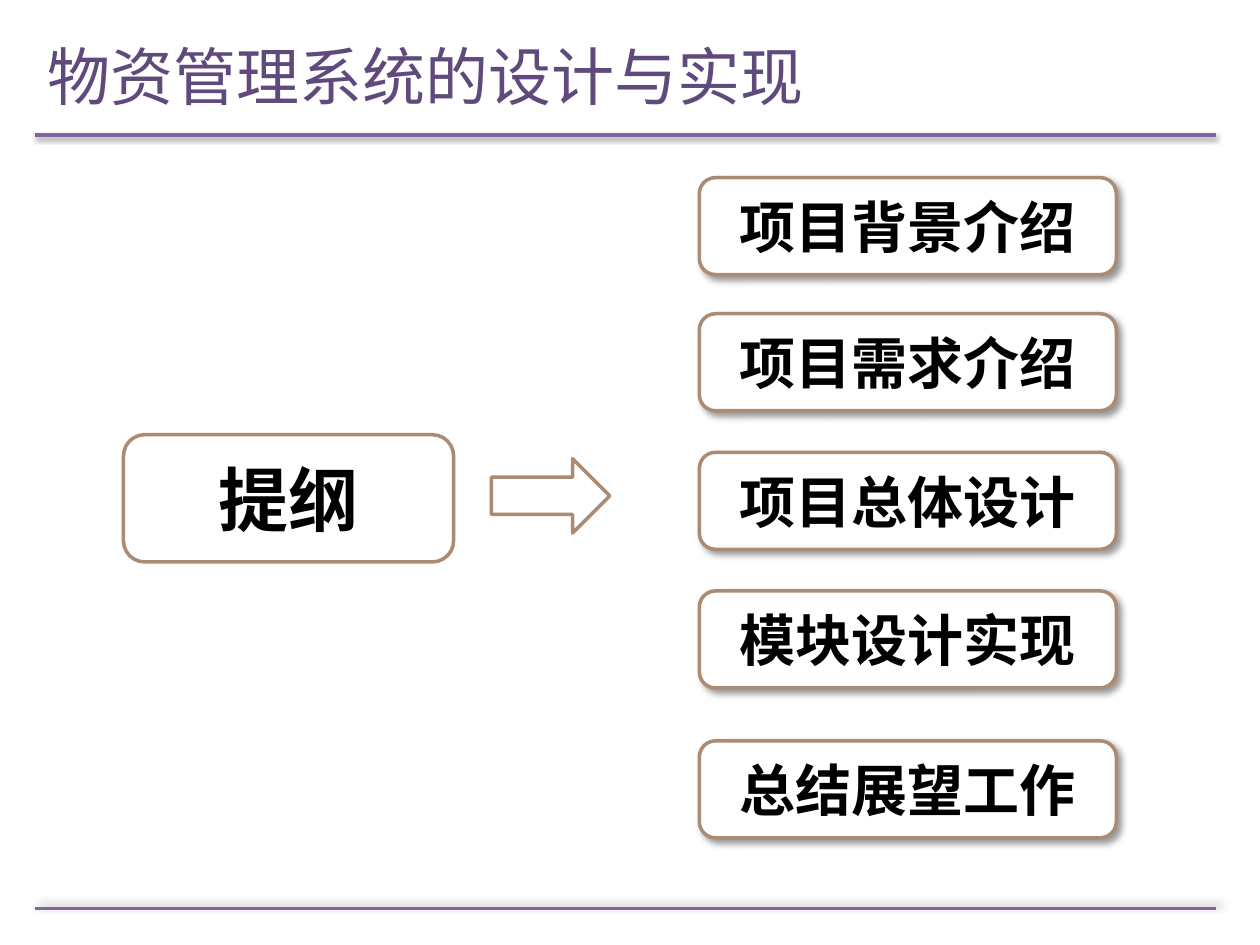
from pptx import Presentation
from pptx import util as u
from pptx.dml.color import RGBColor
from pptx.enum import shapes, text
from pptx.oxml import parse_xml
from pptx.oxml.ns import nsdecls, qn

COLORS = {"title": "604A7B", "rule": "8064A2", "border": "AB8B72",
          "box": "FFFFFF", "ink": "000000"}
LATIN, EAST_ASIAN = "Arial", "Noto Sans CJK SC"
COLUMNS, ROWS = 100, 75

TITLE = "物资管理系统的设计与实现"
TOPICS = [("项目背景介绍", 14.1), ("项目需求介绍", 24.9), ("项目总体设计", 35.9),
          ("模块设计实现", 46.9), ("总结展望工作", 58.8)]


def rgb(name):
    return RGBColor.from_string(COLORS[name])


class OutlineSlide:
    """Draws on one slide; lengths are columns and rows of a 100 by 75 grid."""

    def __init__(self, deck):
        self.slide = deck.slides.add_slide(deck.slide_layouts[6])
        self.column = deck.slide_width / COLUMNS
        self.row = deck.slide_height / ROWS

    def place(self, left, top, width, height):
        return [int(left * self.column), int(top * self.row),
                int(width * self.column), int(height * self.row)]

    def effects(self, part, shadow=None):
        """Replace the theme shadow by (opacity %, blur pt, distance pt, angle), or by none."""
        effect_list = parse_xml(f"<a:effectLst {nsdecls('a')}/>")
        if shadow:
            opacity, blur, distance, angle = shadow
            effect_list.append(parse_xml(
                f'<a:outerShdw {nsdecls("a")} blurRad="{u.Pt(blur)}" dist="{u.Pt(distance)}" '
                f'dir="{angle * 60000}" rotWithShape="0"><a:srgbClr val="{COLORS["ink"]}">'
                f'<a:alpha val="{opacity * 1000}"/></a:srgbClr></a:outerShdw>'))
        part._element.spPr.append(effect_list)

    def outline(self, part, color):
        part.line.color.rgb = rgb(color)
        part.line.width = u.Pt(2)

    def label(self, part, words, color, align, font_format):
        frame = part.text_frame
        frame.word_wrap = True
        frame.vertical_anchor = text.MSO_ANCHOR.MIDDLE
        paragraph = frame.paragraphs[0]
        paragraph.alignment = align
        run = paragraph.add_run()
        run.text = words
        for name, value in font_format.items():
            setattr(run.font, name, value)
        run.font.color.rgb = rgb(color)
        east_asian = parse_xml(f'<a:ea {nsdecls("a")} typeface="{EAST_ASIAN}"/>')
        run.font._element.find(qn("a:latin")).addnext(east_asian)

    def title(self, words, *area):
        heading = self.slide.shapes.add_textbox(*self.place(*area))
        self.label(heading, words, "title", text.PP_ALIGN.LEFT,
                   {"name": EAST_ASIAN, "size": u.Pt(36)})

    def rule(self, top, shadow):
        start_x, start_y, end_x, end_y = self.place(2.8, top, 96.5, top)
        rule = self.slide.shapes.add_connector(
            shapes.MSO_CONNECTOR.STRAIGHT, start_x, start_y, end_x, end_y)
        self.outline(rule, "rule")
        self.effects(rule, shadow)

    def box(self, words, size, *area, shadow=None):
        box = self.slide.shapes.add_shape(
            shapes.MSO_SHAPE.ROUNDED_RECTANGLE, *self.place(*area))
        box.fill.solid()
        box.fill.fore_color.rgb = rgb("box")
        self.outline(box, "border")
        self.effects(box, shadow)
        self.label(box, words, "ink", text.PP_ALIGN.CENTER,
                   {"name": LATIN, "size": u.Pt(size), "bold": True})

    def arrow(self, *area):
        arrow = self.slide.shapes.add_shape(
            shapes.MSO_SHAPE.RIGHT_ARROW, *self.place(*area))
        arrow.fill.background()
        self.outline(arrow, "border")
        self.effects(arrow)


def main():
    deck = Presentation()
    deck.slide_width, deck.slide_height = u.Inches(10), u.Inches(7.5)
    outline = OutlineSlide(deck)
    outline.title(TITLE, 2.8, 1.3, 90, 9.4)
    outline.rule(10.7, shadow=(38, 3.1, 1.6, 90))
    outline.rule(72.1, shadow=(40, 4, 3, 315))
    outline.box("提纲", 40, 9.8, 34.5, 26.2, 10.1)
    for topic, top in TOPICS:
        outline.box(topic, 32, 55.5, top, 33.1, 7.7, shadow=(40, 4, 3, 45))
    outline.arrow(39, 36.4, 9.4, 5.9)
    deck.save("out.pptx")


if __name__ == "__main__":
    main()
